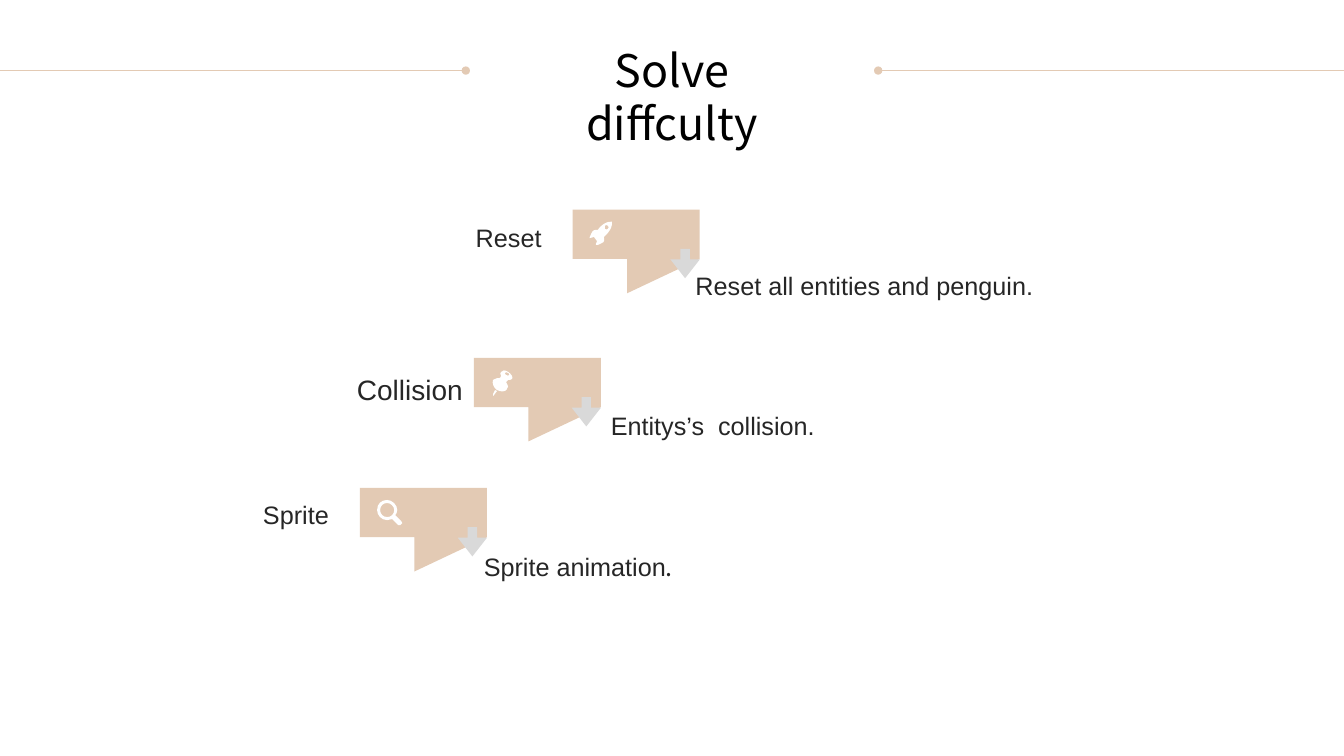
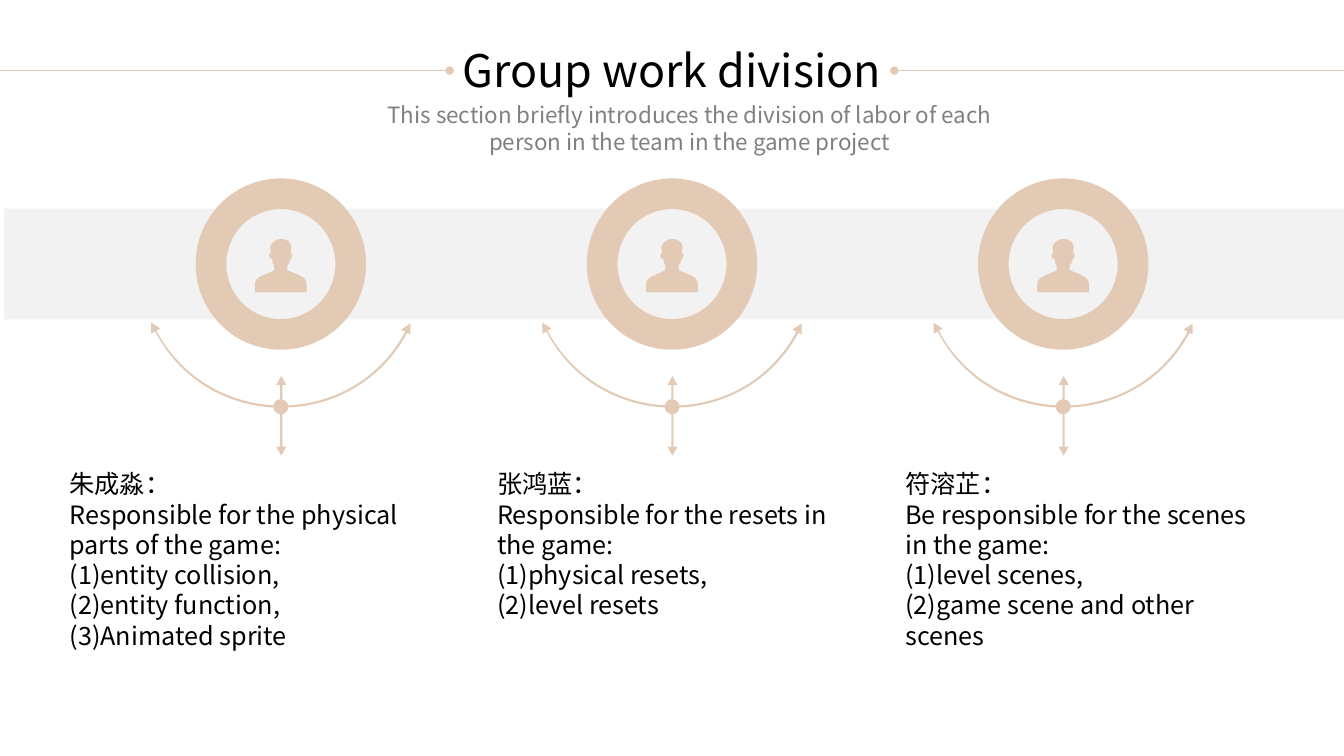
from pptx import Presentation
from pptx.dml.color import RGBColor as RGB
from pptx.enum.shapes import MSO_CONNECTOR as Conn, MSO_SHAPE as Form
from pptx.enum.text import MSO_ANCHOR as Anchor, MSO_AUTO_SIZE as Fit, PP_ALIGN as Align
from pptx.oxml.ns import qn
from pptx.util import Inches, Pt
from lxml.etree import SubElement as Sub

# Shared look
WIDE, HIGH = 13.33, 7.5
TAN, BAND = RGB(0xE3, 0xCA, 0xB4), RGB(0xF2, 0xF2, 0xF2)
SILVER, GREY = RGB(0xD9, 0xD9, 0xD9), RGB(0x80, 0x80, 0x80)
BLACK, DARK, WHITE = RGB(0, 0, 0), RGB(0x26, 0x26, 0x26), RGB(255, 255, 255)
SANS, NOTO = "Arial", "Noto Sans CJK SC"
RULE = 0.7

# Outlines in hundredths of an inch: M move, L line, C curve, Z close
BUBBLE = "M 54 83 L 54 49 L 0 49 L 0 0 L 126 0 L 126 49 Z"
LENS = ("M 3 10 C 3 6 6 3 10 3 C 13 3 17 6 17 10 C 17 14 14 17 10 17 "
        "C 6 17 3 14 3 10 Z M 24 21 L 18 15 C 19 14 20 12 20 10 "
        "C 20 5 15 0 10 0 C 4 0 0 4 0 10 C 0 15 4 20 10 20 "
        "C 12 20 13 19 15 19 L 21 25 L 23 25 L 25 23 L 24 21 Z")
PIN = ("M 13 5 C 12 5 11 3 12 3 C 12 2 14 2 15 3 C 16 3 17 5 16 5 "
       "C 16 6 14 6 13 5 Z M 14 18 L 15 17 C 15 16 14 14 13 12 L 15 10 "
       "C 16 10 18 10 19 9 C 20 7 18 4 15 2 C 12 0 9 0 8 2 "
       "C 7 3 7 4 8 6 L 7 8 C 5 8 3 8 2 9 L 0 10 C -1 13 0 17 4 20 "
       "C 8 22 12 22 14 19 Z M 2 20 L 0 24 L 0 26 L 1 25 L 4 21 Z")
ROCKET = ("M 15 7 C 15 6 15 5 15 4 C 16 3 17 3 18 4 C 19 5 19 6 18 7 "
          "C 17 8 16 8 15 7 Z M 14 15 C 14 15 23 8 22 0 C 14 -1 8 8 8 8 "
          "C 2 8 3 9 0 15 C -1 16 0 17 1 16 C 2 16 4 15 4 15 L 7 19 "
          "C 7 19 7 21 6 22 C 6 23 6 23 8 23 C 14 20 15 21 14 15 Z")
BUST = ("M 51 41 C 50 38 45 36 40 34 C 35 32 33 31 33 31 L 33 26 "
        "C 33 26 35 25 36 20 C 37 20 38 19 38 17 C 38 16 38 13 36 14 "
        "C 37 11 37 9 37 8 C 37 4 33 0 27 0 C 21 0 17 4 16 8 "
        "C 16 9 16 11 17 14 C 15 13 15 16 15 17 C 15 19 16 20 18 20 "
        "C 18 25 20 26 20 26 L 20 31 C 20 31 19 32 14 34 "
        "C 9 36 4 38 2 41 C 0 42 1 53 1 53 L 52 53 C 52 53 53 42 51 41 Z")
SWING = ("M 257 12 L 254 10 C 201 109 57 110 4 9 L 0 11 L 0 0 L 9 6 L 5 8 "
         "C 58 107 200 107 252 9 L 248 7 L 257 1 Z")
SHAFT = ("M 10 9 L 6 9 L 6 70 L 10 70 L 5 79 L 0 70 L 4 70 L 4 9 "
         "L 0 9 L 5 0 Z")


def paint(shape, color):
    shape.shadow.inherit = False
    shape.fill.solid()
    shape.fill.fore_color.rgb = color
    shape.line.fill.background()


def preset(slide, form, box, color, adj=()):
    shape = slide.shapes.add_shape(form, *map(Inches, box))
    for i, value in enumerate(adj):
        shape.adjustments[i] = value
    paint(shape, color)


def draw(slide, outline, x, y, color):
    """Fill an outline whose zero point lies at x, y."""
    words, at, pen, curves, count = outline.split(), 0, None, [], 0
    while at < len(words):
        mark = words[at]
        size = {"M": 2, "L": 2, "C": 6, "Z": 0}[mark]
        nums = [int(w) for w in words[at + 1:at + 1 + size]]
        pts = list(zip(nums[::2], nums[1::2]))
        if mark == "M" and pen is None:
            pen = slide.shapes.build_freeform(*pts[0], scale=Inches(0.01))
        elif mark == "M":
            pen.move_to(*pts[0])
        elif mark == "Z":
            pen.add_line_segments([], close=True)
        else:
            pen.add_line_segments(pts, close=False)
            if mark == "C":
                curves.append(count)
            count += len(pts)
        at += size + 1
    shape = pen.convert_to_shape(Inches(x), Inches(y))
    # Join the three points of each curve into one segment
    steps = list(shape._element.iter(qn("a:lnTo")))
    for i in curves:
        first, *rest = steps[i:i + 3]
        curve = first.makeelement(qn("a:cubicBezTo"))
        first.addprevious(curve)
        for step in (first, *rest):
            curve.append(step[0])
            step.getparent().remove(step)
    paint(shape, color)


def write(shape, paras, box, size, color, font=NOTO, align=Align.LEFT,
          wrap=True, pitch=1.0):
    """Place a text shape; a paragraph is a string or a list of (text, font)."""
    for name, value in zip(("left", "top", "width", "height"), box):
        setattr(shape, name, Inches(value))
    frame = shape.text_frame
    look = {"word_wrap": wrap, "auto_size": Fit.NONE,
            "vertical_anchor": Anchor.TOP,
            "margin_left": Inches(0.1), "margin_right": Inches(0.1),
            "margin_top": Inches(0.05), "margin_bottom": Inches(0.05)}
    for name, value in look.items():
        setattr(frame, name, value)
    for i, runs in enumerate(paras):
        para = frame.add_paragraph() if i else frame.paragraphs[0]
        props = para._p.get_or_add_pPr()
        props.set("marL", "0")
        props.set("indent", "0")
        Sub(props, qn("a:buNone"))
        style = {"alignment": align, "line_spacing": pitch,
                 "space_before": Pt(0), "space_after": Pt(0)}
        for name, value in style.items():
            setattr(para, name, value)
        for text, face in [(runs, font)] if isinstance(runs, str) else runs:
            run = para.add_run()
            run.text = text
            for name, value in {"size": Pt(size), "bold": False, "name": face}.items():
                setattr(run.font, name, value)
            run.font.color.rgb = color
            Sub(run._r.get_or_add_rPr(), qn("a:ea"), typeface=face)


def label(slide, paras, box, **style):
    write(slide.shapes.add_textbox(0, 0, 0, 0), paras, box, color=DARK, font=SANS, **style)


def header(slide, text, width, end, wrap):
    """Centred title between two rules that run in from the edges."""
    for edge, dot in ((0, end), (WIDE, WIDE - end)):
        line = slide.shapes.add_connector(
            Conn.STRAIGHT, *map(Inches, (edge, RULE, dot, RULE)))
        line.line.color.rgb = TAN
        line.line.width = Pt(0.5)
        Sub(line.line._get_or_add_ln(), qn("a:tailEnd"), type="oval")
        Sub(line._element.spPr, qn("a:effectLst"))
    box = ((WIDE - width) / 2, 0.37, width, 0.64)
    write(slide.shapes.title, [text], box, 32, BLACK, align=Align.CENTER, wrap=wrap)


def callout(slide, x, y, icon, shift, name, size, drop, note, dx, dy):
    """Speech bubble with icon and arrow, name at left and note at right."""
    draw(slide, BUBBLE, x, y, TAN)
    draw(slide, icon, x + shift, y + 0.12, WHITE)
    preset(slide, Form.DOWN_ARROW, (x + 0.97, y + 0.39, 0.29, 0.29), SILVER, (0.32, 0.64))
    label(slide, [name], (x - 1.24, y + drop, 1.21, 0.3), size=size,
          align=Align.CENTER, wrap=False)
    label(slide, [note], (x + dx, y + dy, 5.9, 0.56), size=18, pitch=Pt(15))


def member(slide, mid, top):
    """Ring with a bust, and the arrows that lead to the text below."""
    preset(slide, Form.DONUT, (mid - 0.85, top, 1.69, 1.7), TAN, (0.18,))
    draw(slide, SWING, mid - 1.29, top + 1.43, TAN)
    draw(slide, SHAFT, mid - 0.05, top + 1.96, TAN)
    preset(slide, Form.OVAL, (mid - 0.08, top + 2.19, 0.15, 0.15), TAN)
    draw(slide, BUST, mid - 0.27, top + 0.6, TAN)


def solve(deck):
    slide = deck.slides.add_slide(deck.slide_layouts[5])
    for item in (
        (3.57, 4.84, LENS, 0.17, "Sprite", 18, 0.06,
         [("Sprite animation", SANS), (".", NOTO)], 1.13, 0.67),
        (4.7, 3.55, PIN, 0.19, "Collision", 20, 0.1,
         "Entitys’s  collision.", 1.26, 0.56),
        (5.68, 2.08, ROCKET, 0.17, "Reset", 18, 0.08,
         "Reset all entities and penguin.", 1.12, 0.64),
    ):
        callout(slide, *item)
    header(slide, "Solve diffculty", 2.93, 4.62, True)


def team(deck):
    slide = deck.slides.add_slide(deck.slide_layouts[4])
    hold = {p.placeholder_format.idx: p for p in slide.placeholders}
    preset(slide, Form.RECTANGLE, (0.04, 2.07, WIDE - 0.04, 1.1), BAND)
    header(slide, "Group work division", 4.42, 4.46, False)
    write(hold[1], ["This section briefly introduces the division of labor of each "
                    "person in the team in the game project"],
          (3.54, 0.95, 6.6, 0.64), 16, GREY, align=Align.CENTER)
    # One ring and one list for each person
    tasks = (
        (0.59, 3.88, ["朱成淼：", "Responsible for the physical parts of the game:",
                      "(1)entity collision,", "(2)entity function,",
                      "(3)Animated sprite"]),
        (4.83, 3.67, ["张鸿蓝：", "Responsible for the resets in the game:",
                      "(1)physical resets,", "(2)level resets"]),
        (8.88, 3.67, ["符溶芷：", "Be responsible for the scenes in the game:",
                      "(1)level scenes,", "(2)game scene and other scenes"]),
    )
    for i, (left, width, lines) in enumerate(tasks):
        member(slide, 2.79 + 3.88 * i, 1.77)
        write(hold[i + 2], lines, (left, 4.6, width, 1.48), 18, BLACK)


def main():
    deck = Presentation()
    deck.slide_width, deck.slide_height = Inches(WIDE), Inches(HIGH)
    solve(deck)
    team(deck)
    deck.save("out.pptx")


if __name__ == "__main__":
    main()
